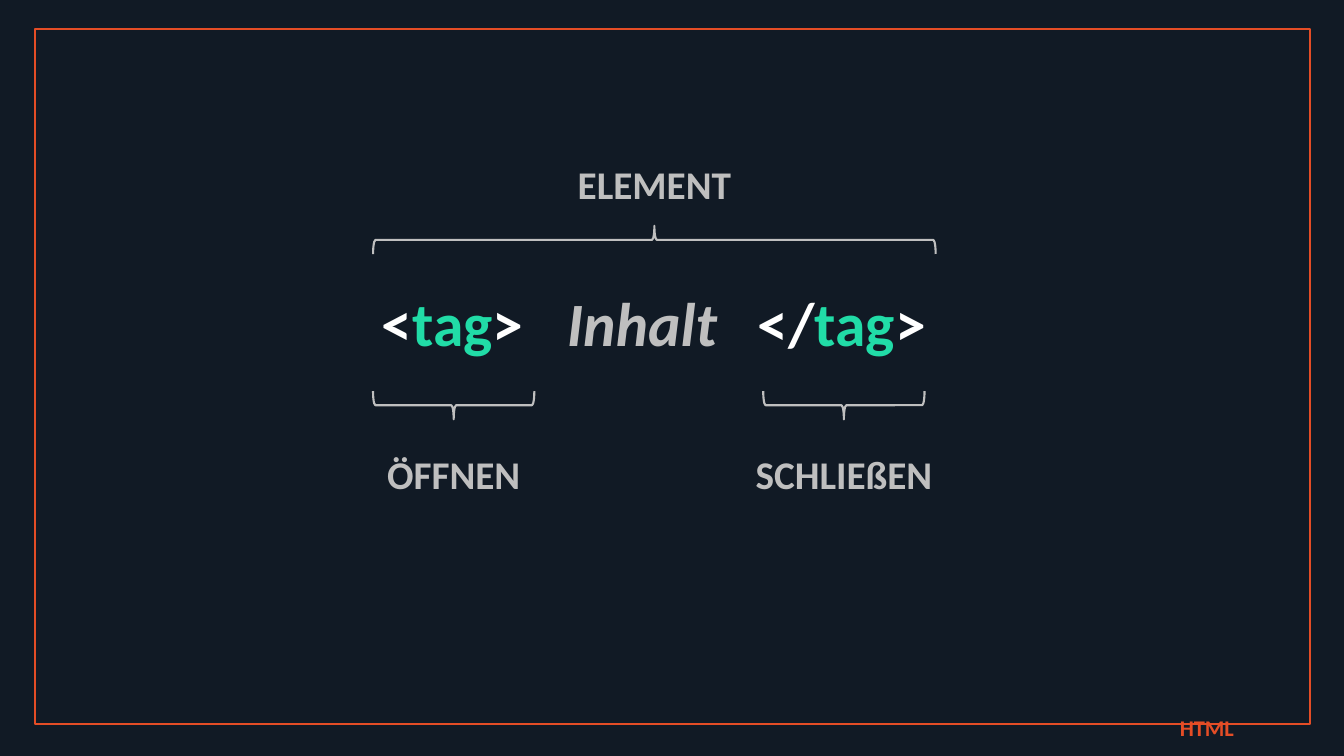
from pptx import Presentation
from pptx.dml.color import RGBColor
from pptx.enum import shapes, text
from pptx.oxml import parse_xml
from pptx.oxml.ns import nsdecls
from pptx.util import Inches, Pt

NIGHT = RGBColor(0x11, 0x1A, 0x25)
ORANGE = RGBColor(0xE4, 0x4D, 0x26)
GREEN = RGBColor(0x21, 0xDC, 0xA7)
GREY = RGBColor(0xBF, 0xBF, 0xBF)
WHITE = RGBColor(0xFF, 0xFF, 0xFF)

BRACE_DEPTH = 0.28
LABEL_WIDTH, LABEL_HEIGHT = 2.35, 0.57


def style(font, size, colour):
    font.name, font.size, font.bold = "Calibri", Pt(size), True
    font.color.rgb = colour


def outline(shape, colour):
    shape.shadow.inherit = False
    shape.fill.background()
    shape.line.color.rgb = colour
    shape.line.width = Pt(1.5)


def add_label(parent, box, wording, size, colour):
    label = parent.shapes.add_textbox(*map(Inches, box))
    label.text_frame.word_wrap = True
    paragraph = label.text_frame.paragraphs[0]
    paragraph.text = wording
    paragraph.alignment = text.PP_ALIGN.CENTER
    style(paragraph.runs[0].font, size, colour)
    return paragraph


def add_bracket(slide, left, top, width, wording, above):
    """Brace lying along the given span, with its label above or below."""
    bracket = slide.shapes.add_group_shape()
    centre = left + width / 2
    # The brace is drawn upright about its centre, then turned
    brace = bracket.shapes.add_shape(
        shapes.MSO_SHAPE.LEFT_BRACE,
        Inches(centre - BRACE_DEPTH / 2),
        Inches(top + BRACE_DEPTH / 2 - width / 2),
        Inches(BRACE_DEPTH), Inches(width))
    brace.rotation = 90 if above else 270
    outline(brace, GREY)
    label_top = top - 0.7 if above else top + 0.54
    add_label(bracket, (centre - LABEL_WIDTH / 2, label_top, LABEL_WIDTH, LABEL_HEIGHT),
              wording, 28, GREY)


def add_markup(slide, box, centres):
    """Opening tag, content and closing tag, each centred on a tab stop."""
    markup = slide.shapes.add_textbox(*map(Inches, box))
    markup.text_frame.word_wrap = True
    paragraph = markup.text_frame.paragraphs[0]
    stops = "".join(f'<a:tab pos="{Inches(centre - box[0] - 0.1)}" algn="ctr"/>'
                    for centre in centres)
    paragraph._p.get_or_add_pPr().append(
        parse_xml(f'<a:tabLst {nsdecls("a")}>{stops}</a:tabLst>'))
    for wording, colour in (("\t<", WHITE), ("tag", GREEN), (">", WHITE),
                            ("\tInhalt", GREY),
                            ("\t</", WHITE), ("tag", GREEN), (">", WHITE)):
        run = paragraph.add_run()
        run.text = wording
        style(run.font, 44, colour)
        run.font.italic = colour == GREY


def add_frame(slide, box):
    """Orange border with the topic on its lower right edge."""
    left, top, width, height = box
    border = slide.shapes.add_shape(shapes.MSO_SHAPE.RECTANGLE, *map(Inches, box))
    outline(border, ORANGE)
    topic = add_label(slide, (left + width - 1.77, top + height - 0.28, 1.5, 0.46),
                      "HTML", 16, ORANGE)
    topic.line_spacing = 1.5


def main():
    deck = Presentation()
    deck.slide_width, deck.slide_height = Inches(13.33), Inches(7.5)
    slide = deck.slides.add_slide(deck.slide_layouts[6])
    slide.background.fill.solid()
    slide.background.fill.fore_color.rgb = NIGHT

    add_markup(slide, (1.43, 2.78, 10.13, 0.84), (4.49, 6.37, 8.35))
    add_bracket(slide, 3.7, 2.24, 5.58, "ELEMENT", above=True)
    add_bracket(slide, 3.7, 3.88, 1.6, "ÖFFNEN", above=False)
    add_bracket(slide, 7.57, 3.88, 1.6, "SCHLIEßEN", above=False)
    add_frame(slide, (0.35, 0.29, 12.64, 6.89))
    deck.save("out.pptx")


if __name__ == "__main__":
    main()
